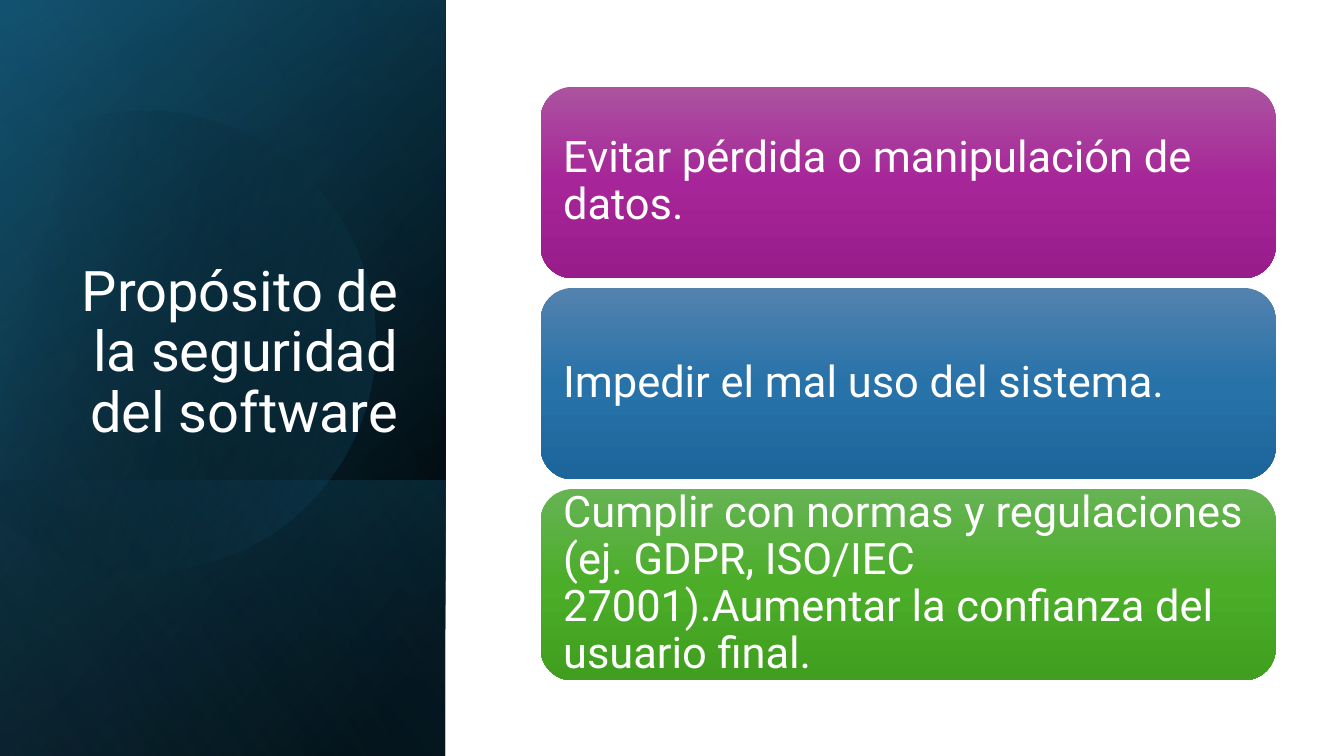
import math
from itertools import pairwise

from lxml import etree
from pptx import Presentation
from pptx.dml.color import RGBColor
from pptx.enum.shapes import MSO_SHAPE
from pptx.enum.text import MSO_ANCHOR, MSO_AUTO_SIZE, PP_ALIGN
from pptx.oxml.ns import qn
from pptx.util import Pt

RECT = MSO_SHAPE.RECTANGLE
ROUNDED = MSO_SHAPE.ROUNDED_RECTANGLE
LEFT, RIGHT = PP_ALIGN.LEFT, PP_ALIGN.RIGHT
MIDDLE, BOTTOM = MSO_ANCHOR.MIDDLE, MSO_ANCHOR.BOTTOM
NO_AUTOFIT = MSO_AUTO_SIZE.NONE

FONT = "Roboto"
SLIDE_W, SLIDE_H = 960, 540
PANEL_W = 318.24

COLORS = {
    "white": "FFFFFF",
    "black": "000000",
    "navy": "104862",
    "teal": "156082",
    "sky": "46B1E1",
    "purple_light": "AC53A0",
    "purple": "A62598",
    "purple_dark": "991C8B",
    "blue_light": "5382AF",
    "blue": "2772A9",
    "blue_dark": "1D669C",
    "green_light": "66B354",
    "green": "4BAD28",
    "green_dark": "409F1E",
}

PURPOSES = [
    ("Evitar pérdida o manipulación de datos.", "purple"),
    ("Impedir el mal uso del sistema.", "blue"),
    ("Cumplir con normas y regulaciones (ej. GDPR, ISO/IEC 27001)."
     "Aumentar la confianza del usuario final.", "green"),
]


def paint_gradient(shape, stops, angle):
    shape.shadow.inherit = False
    shape.line.fill.background()
    shape.fill.background()
    properties = shape._element.spPr
    gradient = etree.Element(qn("a:gradFill"), rotWithShape="1")
    stop_list = etree.SubElement(gradient, qn("a:gsLst"))
    for position, color, opacity in stops:
        stop = etree.SubElement(stop_list, qn("a:gs"), pos=str(position * 1000))
        tone = etree.SubElement(stop, qn("a:srgbClr"), val=COLORS[color])
        if opacity < 100:
            etree.SubElement(tone, qn("a:alpha"), val=str(opacity * 1000))
    etree.SubElement(gradient, qn("a:lin"), ang=str(angle * 60000), scaled="0")
    properties.replace(properties.find(qn("a:noFill")), gradient)


def write_text(shape, text, size, align, anchor, inset_x=7.2, inset_y=3.6):
    frame = shape.text_frame
    frame.word_wrap = True
    frame.auto_size = NO_AUTOFIT
    frame.vertical_anchor = anchor
    frame.margin_left = frame.margin_right = Pt(inset_x)
    frame.margin_top = frame.margin_bottom = Pt(inset_y)
    paragraph = frame.paragraphs[0]
    paragraph.alignment = align
    paragraph.line_spacing = 0.9
    paragraph.space_before = Pt(0)
    run = paragraph.add_run()
    run.text = text
    run.font.name = FONT
    run.font.size = Pt(size)
    run.font.color.rgb = RGBColor.from_string(COLORS["white"])


def add_glow(slide, box, stops, angle):
    left, top, width, height = box
    center_x, center_y = left + width / 2, top + height / 2
    glow = slide.shapes.add_shape(
        RECT, Pt(center_x - height / 2), Pt(center_y - width / 2), Pt(height), Pt(width))
    glow.rotation = 90
    glow._element.spPr.xfrm.set("flipH", "1")
    paint_gradient(glow, stops, angle)


def add_cut_disc(slide, center_x, center_y, radius):
    def rim_point(angle, pull=0.0):
        x = math.cos(angle) - pull * math.sin(angle)
        y = math.sin(angle) + pull * math.cos(angle)
        return Pt(center_x + radius * x), Pt(center_y + radius * y)

    angles = [math.radians(degree) for degree in (-118, -90, 0, 90, 150)]
    start, *others = [rim_point(angle) for angle in angles]
    builder = slide.shapes.build_freeform(*start)
    builder.add_line_segments(others, close=True)
    disc = builder.convert_to_shape()
    sides = list(disc._element.spPr.iter(qn("a:lnTo")))
    for side, (begin, end) in zip(sides, pairwise(angles)):
        pull = 4 / 3 * math.tan((end - begin) / 4)
        curve = etree.Element(qn("a:cubicBezTo"))
        for x, y in (rim_point(begin, pull), rim_point(end, -pull), rim_point(end)):
            etree.SubElement(curve, qn("a:pt"),
                             x=str(x - disc.left), y=str(y - disc.top))
        side.getparent().replace(side, curve)
    disc.rotation = 343.9
    paint_gradient(disc, [(29, "black", 0), (100, "teal", 43)], 30)


def add_title_panel(slide, box):
    left, top, width, height = box
    foot = 197
    add_glow(slide, box, [(8, "black", 100), (100, "navy", 100)], 50)
    add_glow(slide, box, [(0, "black", 0), (99, "teal", 46)], 30)
    add_glow(slide, (left, top + height - foot, width, foot),
             [(2, "teal", 29), (100, "black", 30)], 130)
    add_cut_disc(slide, left + 103.3, top + 240.8, 164.5)
    add_glow(slide, box, [(0, "black", 0), (99, "sky", 11)], 120)

    title = slide.shapes.title
    title.left, title.top = Pt(left + 46), Pt(top + 132.5)
    title.width, title.height = Pt(245.5), Pt(188.6)
    write_text(title, "Propósito de la seguridad del software",
               size=40, align=RIGHT, anchor=BOTTOM)
    title._element.getparent().append(title._element)


def add_purpose_cards(slide, box, gap):
    left, top, width, height = box
    card_h = (height - gap * (len(PURPOSES) - 1)) / len(PURPOSES)
    inset = 6.7
    for index, (purpose, hue) in enumerate(PURPOSES):
        card_top = top + index * (card_h + gap)
        card = slide.shapes.add_shape(
            ROUNDED, Pt(left), Pt(card_top), Pt(width), Pt(card_h))
        paint_gradient(card, [(0, f"{hue}_light", 100), (50, hue, 100),
                              (100, f"{hue}_dark", 100)], 90)
        caption = slide.shapes.add_textbox(
            Pt(left + inset), Pt(card_top + inset - 0.4),
            Pt(width - 2 * inset), Pt(card_h - 2 * inset))
        write_text(caption, purpose, size=31, align=LEFT, anchor=MIDDLE,
                   inset_x=9.4, inset_y=9.4)


def main():
    deck = Presentation()
    deck.slide_width, deck.slide_height = Pt(SLIDE_W), Pt(SLIDE_H)
    slide = deck.slides.add_slide(deck.slide_layouts[5])
    add_title_panel(slide, (0, 0, PANEL_W, SLIDE_H))
    add_purpose_cards(slide, (386.2, 62, 525, 424), gap=7)
    deck.save("out.pptx")


if __name__ == "__main__":
    main()
